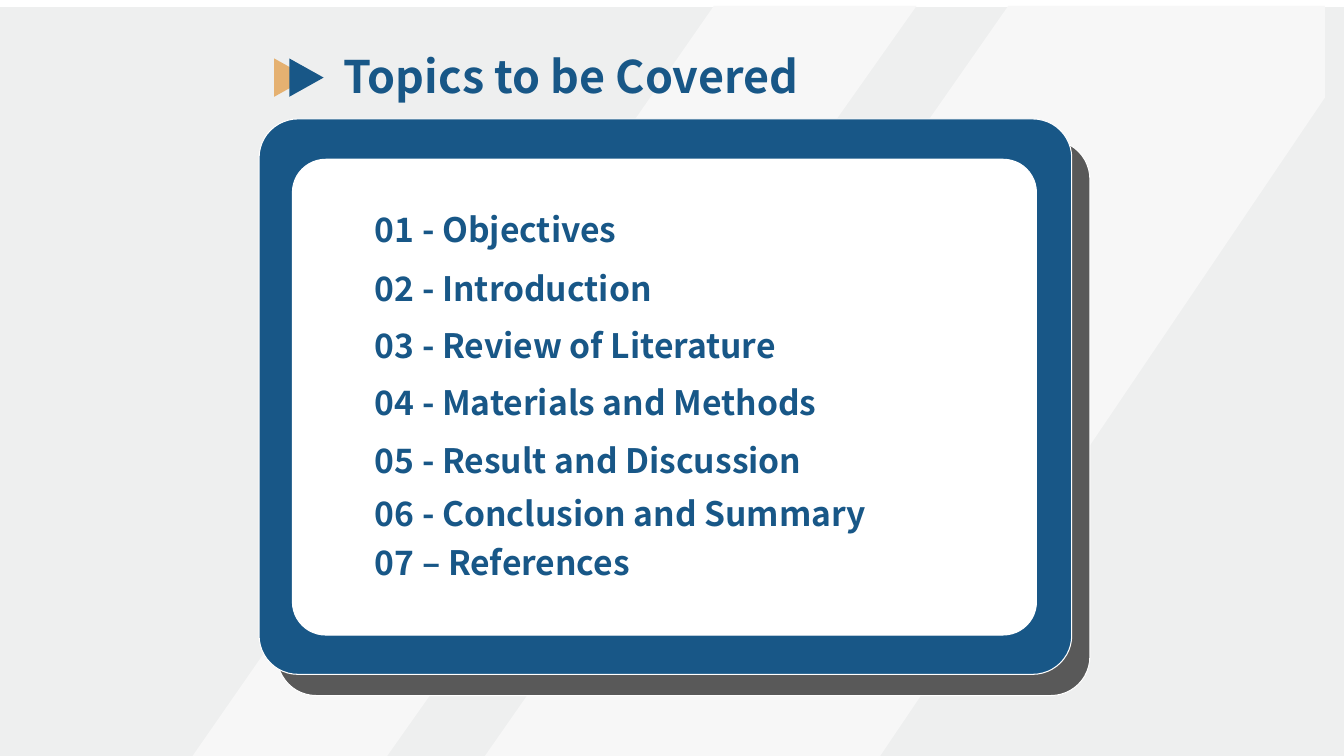
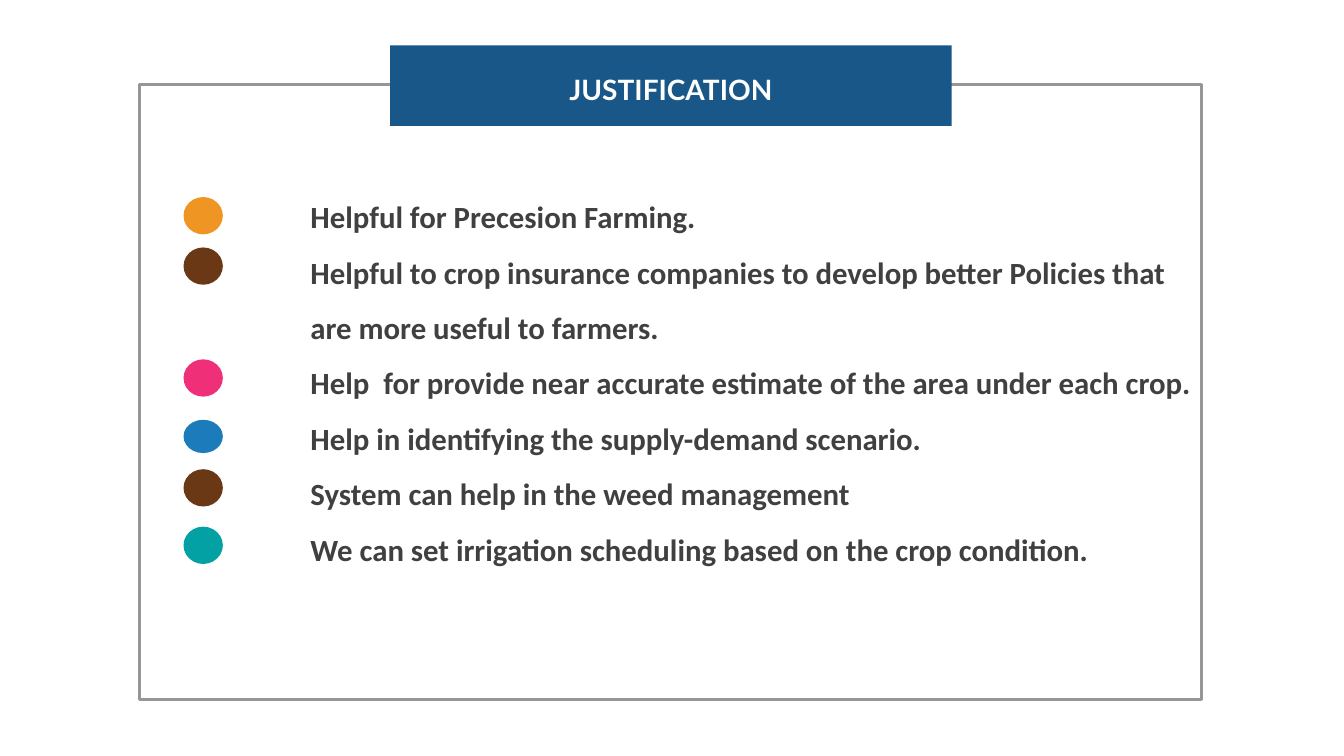
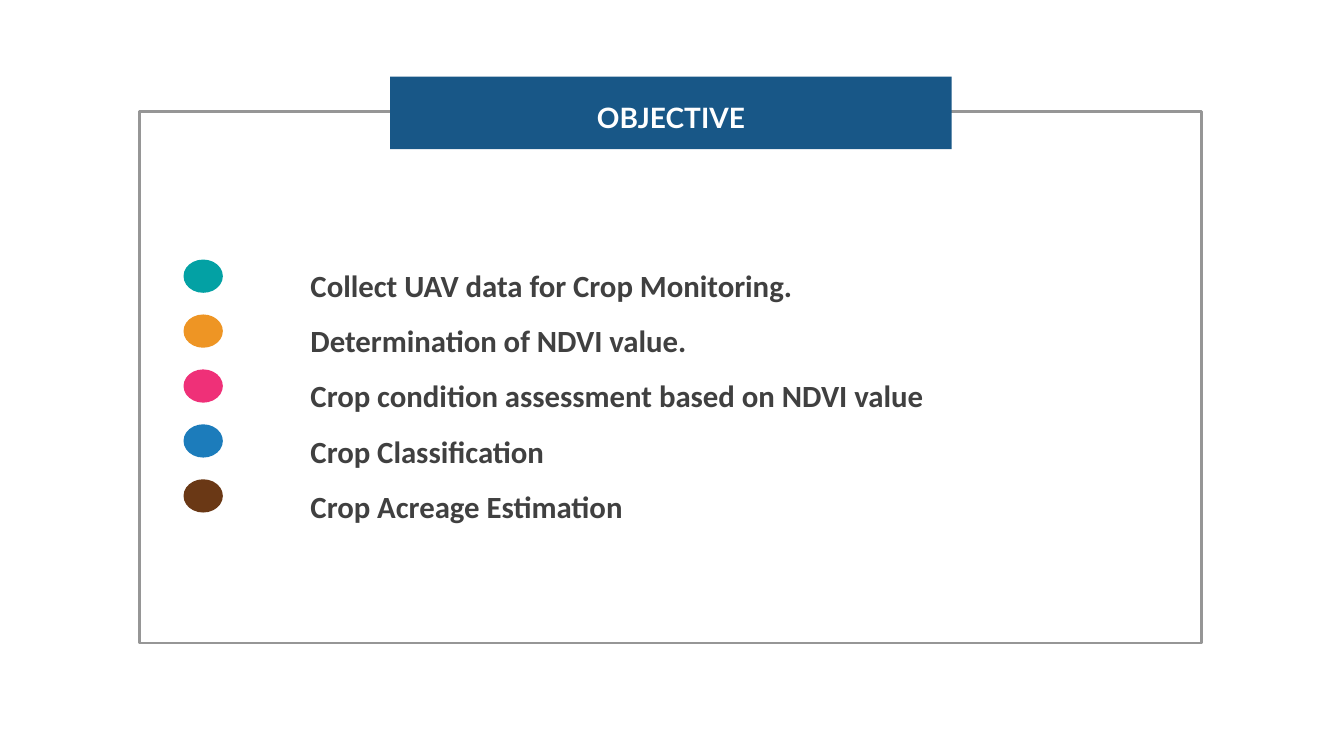
import pptx
import pptx.util
import pptx.dml.color
import pptx.enum.shapes
import pptx.enum.text

Inches = pptx.util.Inches
SHAPE = pptx.enum.shapes.MSO_SHAPE
ANCHOR = pptx.enum.text.MSO_ANCHOR
ALIGN = pptx.enum.text.PP_ALIGN

COLOURS = {
    "blue": "185787", "white": "FFFFFF", "backdrop": "EEEFEF", "stripe": "F7F7F7",
    "shade": "595959", "sand": "E5B171", "frame": "969696", "body": "404040",
    "orange": "EE9524", "brown": "6A3815", "pink": "EF3078", "sky": "1C7CBB", "teal": "03A1A4",
}
TOPIC_FONT, BANNER_FONT, BODY_FONT = "Noto Sans CJK SC", "Lato", "Calibri"

STRIPES = [
    [(10, 0.06), (13.14, 0.06), (13.14, 0.97), (8.73, 7.5), (4.81, 7.5)],
    [(7.08, 0.06), (9.09, 0.06), (3.84, 7.5), (1.91, 7.5)],
]
TOPICS = [  # top, text
    (2.02, "01 - Objectives"),
    (2.61, "02 - Introduction"),
    (3.17, "03 - Review of Literature"),
    (3.74, "04 - Materials and Methods"),
    (4.32, "05 - Result and Discussion"),
    (4.84, "06 - Conclusion and Summary"),
    (5.33, "07 – References"),
]
JUSTIFICATIONS = [
    "Helpful for Precesion Farming.",
    "Helpful to crop insurance companies to develop better Policies that are more useful to farmers.",
    "Help  for provide near accurate estimate of the area under each crop.",
    "Help in identifying the supply-demand scenario.",
    "System can help in the weed management",
    "We can set irrigation scheduling based on the crop condition.",
]
JUSTIFICATION_DOTS = [  # colour, centre height, dot height
    ("orange", 2.14, 0.37), ("brown", 2.64, 0.37), ("pink", 3.75, 0.37),
    ("sky", 4.33, 0.33), ("brown", 4.84, 0.37), ("teal", 5.41, 0.37),
]
OBJECTIVES = [
    "Collect UAV data for Crop Monitoring.",
    "Determination of NDVI value.",
    "Crop condition assessment based on NDVI value",
    "Crop Classification",
    "Crop Acreage Estimation",
]
OBJECTIVE_COLOURS = ["teal", "orange", "pink", "sky", "brown"]
FIRST_OBJECTIVE, LAST_OBJECTIVE = 2.74, 4.92


def rgb(colour):
    return pptx.dml.color.RGBColor.from_string(COLOURS[colour])


def paint(shape, fill, line=None, width=0.75):
    shape.shadow.inherit = False
    shape.fill.solid()
    shape.fill.fore_color.rgb = rgb(fill)
    if line:
        shape.line.color.rgb = rgb(line)
        shape.line.width = pptx.util.Pt(width)
    else:
        shape.line.fill.background()


def add_shape(slide, preset, box, fill, line=None, width=0.75):
    shape = slide.shapes.add_shape(preset, *map(Inches, box))
    paint(shape, fill, line, width)
    return shape


def set_font(paragraph, name, size, colour):
    for run in paragraph.runs:
        run.font.name = name
        run.font.size = pptx.util.Pt(size)
        run.font.bold = True
        run.font.color.rgb = rgb(colour)


def add_stripe(slide, points):
    start, *rest = [(Inches(x), Inches(y)) for x, y in points]
    outline = slide.shapes.build_freeform(*start)
    outline.add_line_segments(rest, close=True)
    paint(outline.convert_to_shape(), "stripe")


def add_rounded_panel(slide, box, fill):
    panel = add_shape(slide, SHAPE.ROUNDED_RECTANGLE, box, fill, "white")
    panel.adjustments[0] = 0.07


def add_heading(slide, box, text, size):
    frame = slide.shapes.add_textbox(*map(Inches, box)).text_frame
    frame.word_wrap = True
    frame.text = text
    set_font(frame.paragraphs[0], TOPIC_FONT, size, "blue")


def add_dot(slide, colour, centre, height):
    add_shape(slide, SHAPE.OVAL, (1.82, centre - height / 2, 0.39, height), colour)


def add_list_panel(slide, top, height, text_top, items):
    """Framed panel whose list starts text_top inches below its upper edge."""
    panel = add_shape(slide, SHAPE.RECTANGLE, (1.38, top, 10.54, height), "white", "frame", 2)
    frame = panel.text_frame
    frame.word_wrap = True
    frame.vertical_anchor = ANCHOR.TOP
    frame.margin_left, frame.margin_right = Inches(1.7), Inches(0.05)
    frame.margin_top = Inches(text_top)
    frame.text = "\n".join(items)
    for paragraph in frame.paragraphs:
        paragraph.alignment = ALIGN.LEFT
        paragraph.line_spacing = 1.5
        set_font(paragraph, BODY_FONT, 22, "body")


def add_banner(slide, top, height, title):
    banner = add_shape(slide, SHAPE.RECTANGLE, (3.87, top, 5.57, height), "blue")
    frame = banner.text_frame
    frame.vertical_anchor = ANCHOR.MIDDLE
    frame.margin_top = Inches(0.13)
    frame.text = title
    frame.paragraphs[0].alignment = ALIGN.CENTER
    set_font(frame.paragraphs[0], BANNER_FONT, 20, "white")


def build_topics(slide):
    add_shape(slide, SHAPE.RECTANGLE, (0, 0.07, 13.33, 7.43), "backdrop")
    for points in STRIPES:
        add_stripe(slide, points)
    add_rounded_panel(slide, (2.75, 1.39, 8.06, 5.51), "shade")
    add_rounded_panel(slide, (2.57, 1.18, 8.06, 5.51), "blue")
    add_rounded_panel(slide, (2.9, 1.58, 7.38, 4.72), "white")
    for left, colour in [(2.7, "sand"), (2.85, "blue")]:
        marker = add_shape(slide, SHAPE.ISOSCELES_TRIANGLE, (left, 0.6, 0.38, 0.34), colour)
        marker.rotation = 90
    add_heading(slide, (3.31, 0.43, 6.97, 0.65), "Topics to be Covered", 32)
    for top, topic in TOPICS:
        add_heading(slide, (3.62, top, 6.38, 0.5), topic, 24)


def build_justification(slide):
    add_list_panel(slide, 0.84, 6.1, 0.94, JUSTIFICATIONS)
    add_banner(slide, 0.45, 0.8, "JUSTIFICATION")
    for colour, centre, height in JUSTIFICATION_DOTS:
        add_dot(slide, colour, centre, height)


def build_objective(slide):
    add_list_panel(slide, 1.11, 5.27, 1.35, OBJECTIVES)
    add_banner(slide, 0.76, 0.72, "OBJECTIVE")
    step = (LAST_OBJECTIVE - FIRST_OBJECTIVE) / (len(OBJECTIVE_COLOURS) - 1)
    for index, colour in enumerate(OBJECTIVE_COLOURS):
        add_dot(slide, colour, FIRST_OBJECTIVE + index * step, 0.33)


def main():
    deck = pptx.Presentation()
    deck.slide_width, deck.slide_height = Inches(13.33), Inches(7.5)
    for build in (build_topics, build_justification, build_objective):
        build(deck.slides.add_slide(deck.slide_layouts[6]))
    deck.save("out.pptx")


if __name__ == "__main__":
    main()
